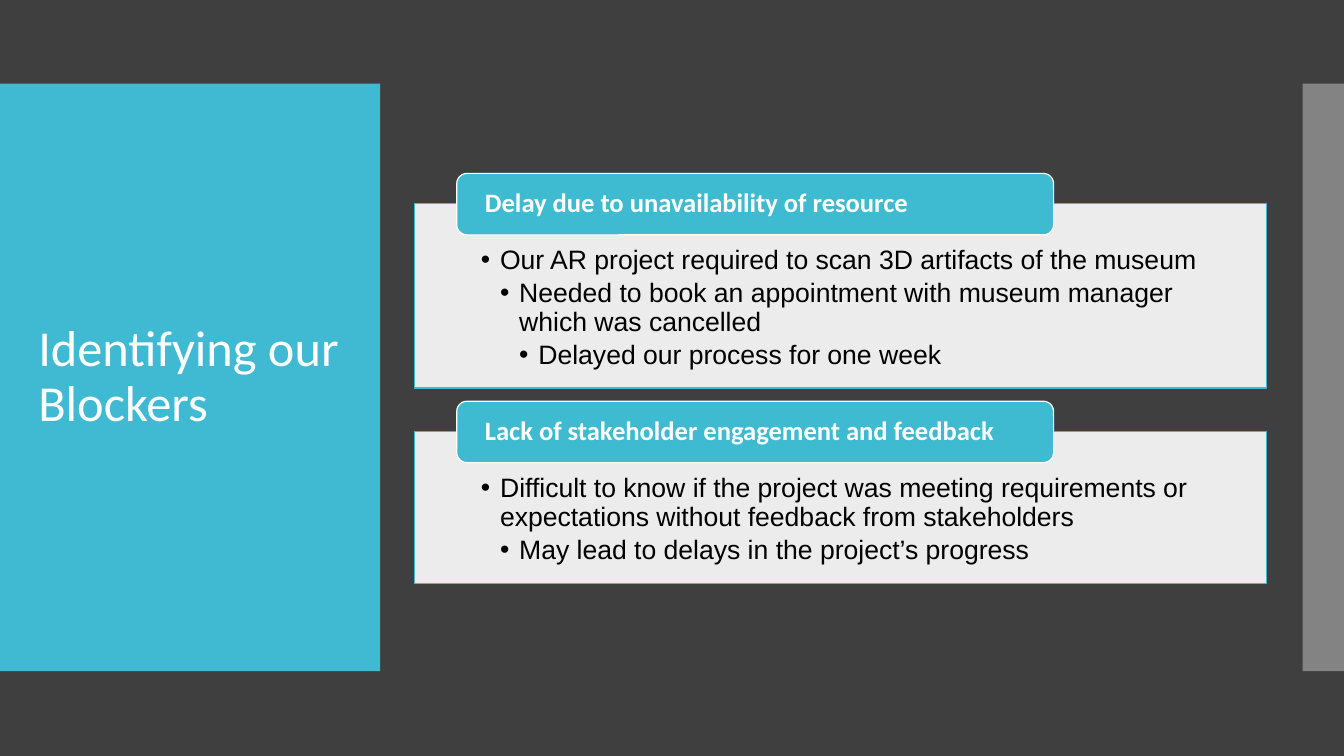
from lxml import etree
from pptx import Presentation
from pptx.dml.color import RGBColor
from pptx.enum import shapes, text
from pptx.oxml import ns
from pptx.util import Inches, Pt

TEAL, WHITE, BLACK = "3EBAD1", "FFFFFF", "000000"
RECT, ROUND = shapes.MSO_SHAPE.RECTANGLE, shapes.MSO_SHAPE.ROUNDED_RECTANGLE
TOP, MID = text.MSO_ANCHOR.TOP, text.MSO_ANCHOR.MIDDLE


def color(code):
    return RGBColor.from_string(code)


def apply(target, values):
    for name, value in values.items():
        setattr(target, name, value)


class Deck:
    head = {"name": "Calibri", "size": Pt(36), "bold": False}
    label = {"name": "Calibri", "size": Pt(19), "bold": True}
    body = {"name": "Arial", "size": Pt(19), "bold": False}
    step = 0.19  # bullet indent per level

    def __init__(self):
        self.prs = Presentation()
        apply(self.prs, {"slide_width": Inches(13.33), "slide_height": Inches(7.5)})
        self.slide = self.prs.slides.add_slide(self.prs.slide_layouts[5])
        back = self.slide.background.fill
        back.solid()
        back.fore_color.rgb = color("3F3F3F")

    def box(self, kind, place, fill, alpha=100, line=None):
        shape = self.slide.shapes.add_shape(kind, *map(Inches, place))
        shape.shadow.inherit = False
        shape.fill.solid()
        shape.fill.fore_color.rgb = color(fill)
        if alpha < 100:
            tone = shape.element.spPr.find(".//" + ns.qn("a:srgbClr"))
            etree.SubElement(tone, ns.qn("a:alpha"), val=str(alpha * 1000))
        if line:
            shape.line.color.rgb = color(line)
            shape.line.width = Pt(0.85)
        else:
            shape.line.fill.background()
        return shape

    def frame(self, shape, pads, anchor):
        left, top, right, bottom = map(Inches, pads)
        apply(shape.text_frame, {
            "margin_left": left, "margin_top": top,
            "margin_right": right, "margin_bottom": bottom,
            "vertical_anchor": anchor, "word_wrap": True,
            "auto_size": text.MSO_AUTO_SIZE.NONE})
        return shape.text_frame

    def para(self, par, words, font, ink):
        par.text = words
        apply(par, {"line_spacing": 0.9, "alignment": text.PP_ALIGN.LEFT})
        apply(par.font, font)
        par.font.color.rgb = color(ink)

    def bullet(self, par, depth):
        par.level = depth
        props = par._p.get_or_add_pPr()
        props.set("marL", str(Inches(self.step * depth)))
        props.set("indent", str(-Inches(self.step)))
        tint = etree.SubElement(props, ns.qn("a:buClr"))
        etree.SubElement(tint, ns.qn("a:srgbClr"), val=BLACK)
        etree.SubElement(props, ns.qn("a:buFont"), typeface="Arial")
        etree.SubElement(props, ns.qn("a:buChar"), char="•")

    def title(self, place, words):
        shape = self.slide.shapes.title
        apply(shape, dict(zip(("left", "top", "width", "height"), map(Inches, place))))
        frame = self.frame(shape, (0.1, 0.05, 0.1, 0.05), MID)
        self.para(frame.paragraphs[0], words, self.head, WHITE)
        # Bring the title in front of the side panel
        shape.element.getparent().append(shape.element)

    def panel(self, place, points):
        shape = self.box(RECT, place, WHITE, 90, TEAL)
        frame = self.frame(shape, (0.66, 0.43, 0.66, 0.15), TOP)
        for depth, words in enumerate(points, 1):
            par = frame.paragraphs[0] if depth == 1 else frame.add_paragraph()
            self.bullet(par, depth)
            self.para(par, words, self.body, BLACK)
            par.space_before = Pt(2.9 if depth > 1 else 0)

    def tag(self, place, words):
        shape = self.box(ROUND, place, TEAL, line=WHITE)
        frame = self.frame(shape, (0.25, 0, 0.25, 0), MID)
        self.para(frame.paragraphs[0], words, self.label, WHITE)


def main():
    deck = Deck()

    # Side panels and title
    deck.box(RECT, (0, 0.83, 3.77, 5.83), "40BAD2")
    deck.box(RECT, (12.92, 0.83, 0.41, 5.83), "C8C8C8", 50)
    deck.title((0.28, 1.23, 3.22, 5.03), "Identifying our Blockers")

    # Blockers: heading, panel height, bullets one level deeper each
    blocks = [
        ("Delay due to unavailability of resource", 1.83, [
            "Our AR project required to scan 3D artifacts of the museum",
            "Needed to book an appointment with museum manager which was cancelled",
            "Delayed our process for one week"]),
        ("Lack of stakeholder engagement and feedback", 1.51, [
            "Difficult to know if the project was meeting requirements or "
            "expectations without feedback from stakeholders",
            "May lead to delays in the project’s progress"]),
    ]
    top, gap = 2.02, 0.43
    for name, high, points in blocks:
        deck.panel((4.11, top, 8.45, high), points)
        deck.tag((4.53, top - 0.3, 5.92, 0.61), name)
        top += high + gap

    deck.prs.save("out.pptx")


if __name__ == "__main__":
    main()
